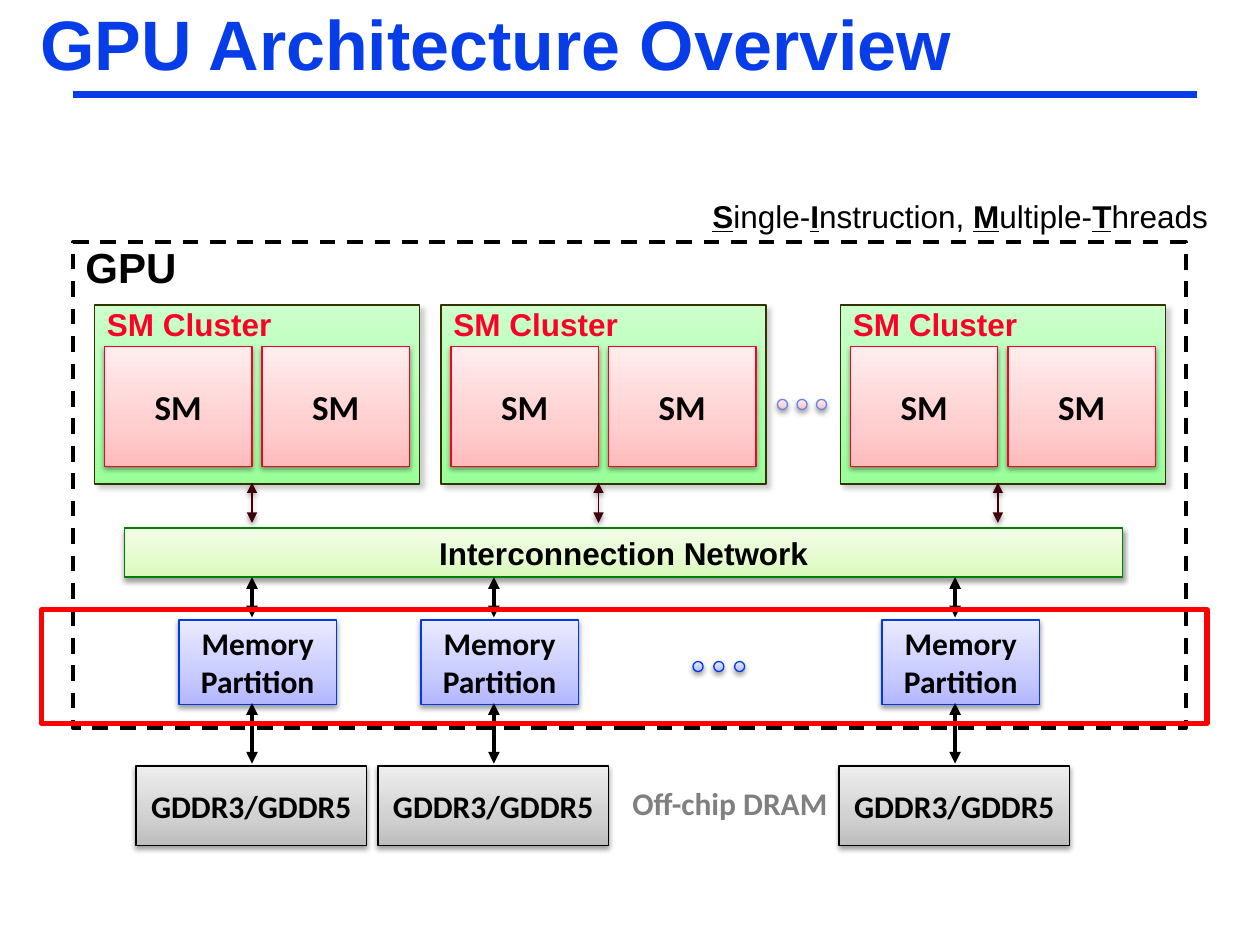
"""Build the GPU architecture overview slide."""
import typing

import lxml.etree
import pptx
import pptx.dml.color
import pptx.enum.dml
import pptx.enum.shapes
import pptx.enum.text
import pptx.oxml.ns
import pptx.shapes.shapetree
import pptx.text.text
import pptx.util

Inches = pptx.util.Inches
RGBColor = pptx.dml.color.RGBColor
Anchor = pptx.enum.text.MSO_ANCHOR
Align = pptx.enum.text.PP_ALIGN
Preset = pptx.enum.shapes.MSO_SHAPE
Canvas = typing.Union[pptx.shapes.shapetree.SlideShapes, pptx.shapes.shapetree.GroupShapes]
Element = lxml.etree._Element
Area = tuple[float, float, float, float]
Point = tuple[float, float]
qn = pptx.oxml.ns.qn

BLACK = RGBColor(0x00, 0x00, 0x00)
GREY = RGBColor(0x80, 0x80, 0x80)
TITLE_BLUE = RGBColor(0x06, 0x3D, 0xE8)
CLUSTER_RED = RGBColor(0xFC, 0x01, 0x28)
HIGHLIGHT_RED = RGBColor(0xFF, 0x00, 0x00)
SM_RED = RGBColor(0xF7, 0x00, 0x26)
LINK_MAROON = RGBColor(0x3F, 0x00, 0x0A)
DOT_BLUE = RGBColor(0x60, 0x86, 0xFB)
MEMORY_BLUE = RGBColor(0x00, 0x39, 0xE8)
NETWORK_GREEN = RGBColor(0x00, 0x80, 0x00)
CLUSTER_GREEN = RGBColor(0x33, 0x33, 0x00)
PINKS = {0: RGBColor(0xFF, 0xBB, 0xBC), 35: RGBColor(0xFF, 0xCF, 0xD0), 100: RGBColor(0xFF, 0xED, 0xED)}
BLUES = {0: RGBColor(0xB2, 0xB6, 0xFF), 35: RGBColor(0xC8, 0xCB, 0xFF), 100: RGBColor(0xEA, 0xEB, 0xFF)}
GREYS = {0: RGBColor(0xBD, 0xBD, 0xBD), 35: RGBColor(0xD1, 0xD1, 0xD1), 100: RGBColor(0xEE, 0xEE, 0xEE)}
LIMES = {0: RGBColor(0xDA, 0xFA, 0xBB), 50: RGBColor(0xE7, 0xFB, 0xD4), 100: RGBColor(0xF3, 0xFD, 0xE9)}
GREENS = {0: RGBColor(0x99, 0xFF, 0x99), 100: RGBColor(0xCC, 0xFF, 0xCC)}


class Shadow(typing.NamedTuple):
    opacity: int
    blur: float
    distance: float
    angle: int


class Label(typing.NamedTuple):
    size: float
    font: str = "Arial"
    color: RGBColor = BLACK
    align: Align = Align.CENTER
    anchor: Anchor = Anchor.MIDDLE
    top: float = 0.05
    side: float = 0.1
    wrap: bool = False


class Style(typing.NamedTuple):
    line: RGBColor
    width: float = 0.75
    stops: typing.Optional[dict[int, RGBColor]] = None
    shadow: typing.Optional[Shadow] = None
    label: typing.Optional[Label] = None
    dash: typing.Optional[pptx.enum.dml.MSO_LINE] = None
    preset: Preset = Preset.RECTANGLE


SOFT = Shadow(38, 3.1, 1.6, 90)
CORNER = Shadow(20, 3, 3, 45)
TITLE = Label(40, "Arial", TITLE_BLUE, Align.LEFT, Anchor.TOP, 0.03, 0.07, True)
HEADING = Label(24, "Arial", BLACK, Align.LEFT, Anchor.TOP, 0)
CAPTION = Label(18, "Calibri", GREY, Align.LEFT, Anchor.TOP)
MODEL = Label(18, side=0)
CHIP = Style(BLACK, 2.25, label=HEADING, dash=pptx.enum.dml.MSO_LINE.DASH)
CLUSTER = Style(CLUSTER_GREEN, 1, GREENS, CORNER, HEADING._replace(size=18, color=CLUSTER_RED))
MULTIPROCESSOR = Style(SM_RED, 0.75, PINKS, SOFT, Label(20, "Calibri"))
NETWORK = Style(NETWORK_GREEN, 0.75, LIMES, SOFT, Label(18))
PARTITION = Style(MEMORY_BLUE, 0.75, BLUES, SOFT, Label(18, "Calibri"))
DRAM = PARTITION._replace(line=BLACK, stops=GREYS)
CLUSTER_DOT = Style(DOT_BLUE, 0.75, PINKS, SOFT, preset=Preset.OVAL)
MEMORY_DOT = Style(MEMORY_BLUE, 0.75, BLUES, SOFT, preset=Preset.OVAL)
CLUSTER_LINK = Style(LINK_MAROON, shadow=SOFT)
MEMORY_LINK = Style(BLACK, 2.25)


def add_color(parent: Element, color: RGBColor) -> Element:
    return lxml.etree.SubElement(parent, qn("a:srgbClr"), val=str(color))


def add_shadow(effects: Element, shadow: Shadow) -> None:
    outer = lxml.etree.SubElement(
        effects, qn("a:outerShdw"), blurRad=str(pptx.util.Pt(shadow.blur)),
        dist=str(pptx.util.Pt(shadow.distance)), dir=str(shadow.angle * 60000), rotWithShape="0")
    lxml.etree.SubElement(add_color(outer, BLACK), qn("a:alpha"), val=str(shadow.opacity * 1000))


def add_span(para: pptx.text.text._Paragraph, text: str, label: Label, **extra: bool) -> None:
    span = para.add_run()
    span.text = text
    formats = {"size": pptx.util.Pt(label.size), "name": label.font, "bold": True, **extra}
    for name, value in formats.items():
        setattr(span.font, name, value)
    span.font.color.rgb = label.color


def set_frame(frame: pptx.text.text.TextFrame, label: Label) -> None:
    formats = {"word_wrap": label.wrap, "vertical_anchor": label.anchor, "margin_top": Inches(label.top),
               "margin_left": Inches(label.side), "margin_right": Inches(label.side)}
    for name, value in formats.items():
        setattr(frame, name, value)


def add_text(frame: pptx.text.text.TextFrame, text: str, label: Label) -> None:
    set_frame(frame, label)
    for index, line in enumerate(text.split("\n")):
        para = frame.add_paragraph() if index else frame.paragraphs[0]
        para.alignment = label.align
        add_span(para, line, label)


def add_box(canvas: Canvas, area: Area, style: Style, text: str = "") -> None:
    box = canvas.add_shape(style.preset, *map(Inches, area))
    box.fill.background()
    if style.stops:
        box.fill.gradient()
        box.fill.gradient_angle = 90
        stop_list = box.element.spPr.find(".//" + qn("a:gsLst"))
        stop_list[:] = []
        for position, color in style.stops.items():
            add_color(lxml.etree.SubElement(stop_list, qn("a:gs"), pos=str(position * 1000)), color)
    box.line.color.rgb = style.line
    box.line.width = pptx.util.Pt(style.width)
    box.line.dash_style = style.dash
    box.shadow.inherit = False
    if style.shadow:
        add_shadow(box.element.spPr.find(qn("a:effectLst")), style.shadow)
    if text:
        add_text(box.text_frame, text, style.label)


def add_line(canvas: Canvas, start: Point, end: Point, style: Style, arrows: bool = True) -> None:
    line = canvas.add_connector(pptx.enum.shapes.MSO_CONNECTOR.STRAIGHT, *map(Inches, start + end))
    line.line.color.rgb = style.line
    line.line.width = pptx.util.Pt(style.width)
    for tag in ("a:headEnd", "a:tailEnd") if arrows else ():
        lxml.etree.SubElement(line.line._get_or_add_ln(), qn(tag), type="triangle")
    effects = lxml.etree.SubElement(line._element.spPr, qn("a:effectLst"))
    if style.shadow:
        add_shadow(effects, style.shadow)


def add_dots(canvas: Canvas, left: float, top: float, step: float, style: Style) -> None:
    group = canvas.add_group_shape().shapes
    for index in range(3):
        add_box(group, (left + index * step, top, 0.08, 0.08), style)


def add_cluster(canvas: Canvas, left: float) -> None:
    group = canvas.add_group_shape().shapes
    add_box(group, (left, 2.42, 2.58, 1.42), CLUSTER, "SM Cluster")
    for offset in (0.08, 1.33):
        add_box(group, (left + offset, 2.75, 1.17, 0.95), MULTIPROCESSOR, "SM")
    add_line(group, (left + 1.25, 3.83), (left + 1.25, 4.15), CLUSTER_LINK)


def add_memory(canvas: Canvas, center: float) -> None:
    group = canvas.add_group_shape().shapes
    add_box(group, (center - 0.58, 4.92, 1.25, 0.67), PARTITION, "Memory\nPartition")
    add_box(group, (center - 0.92, 6.08, 1.83, 0.63), DRAM, "GDDR3/GDDR5")
    for top, bottom in ((5.58, 6.06), (4.58, 4.9)):
        add_line(group, (center, top), (center, bottom), MEMORY_LINK)


deck = pptx.Presentation()
deck.slide_width, deck.slide_height = Inches(10), Inches(7.5)
page = deck.slides.add_slide(deck.slide_layouts[6]).shapes
add_line(page, (0.58, 0.75), (9.5, 0.75), Style(TITLE_BLUE, 4.5), arrows=False)
title = page.add_textbox(*map(Inches, (0.25, 0.07, 8.92, 1.23))).text_frame
add_text(title, "GPU Architecture Overview", TITLE)
title.paragraphs[0].line_spacing = 0.87
model = page.add_textbox(*map(Inches, (5.58, 1.5, 4.08, 0.42))).text_frame
set_frame(model, MODEL)
model.paragraphs[0].alignment = MODEL.align
for word in ("Single-", "Instruction, ", "Multiple-", "Threads"):
    add_span(model.paragraphs[0], word[0], MODEL, underline=True)
    add_span(model.paragraphs[0], word[1:], MODEL, bold=False)
add_box(page, (0.58, 1.92, 8.83, 3.86), CHIP, "GPU")
add_dots(page, 6.17, 3.17, 0.155, CLUSTER_DOT)
add_box(page, (0.99, 4.19, 7.92, 0.39), NETWORK, "Interconnection Network")
add_dots(page, 5.5, 5.25, 0.165, MEMORY_DOT)
for cluster_left in (0.75, 3.5, 6.67):
    add_cluster(page, cluster_left)
for memory_center in (2, 3.92, 7.58):
    add_memory(page, memory_center)
caption = page.add_textbox(*map(Inches, (4.92, 6.17, 1.77, 0.4))).text_frame
add_text(caption, "Off-chip DRAM", CAPTION)
add_box(page, (0.33, 4.84, 9.25, 0.9), Style(HIGHLIGHT_RED, 3))
deck.save("out.pptx")
